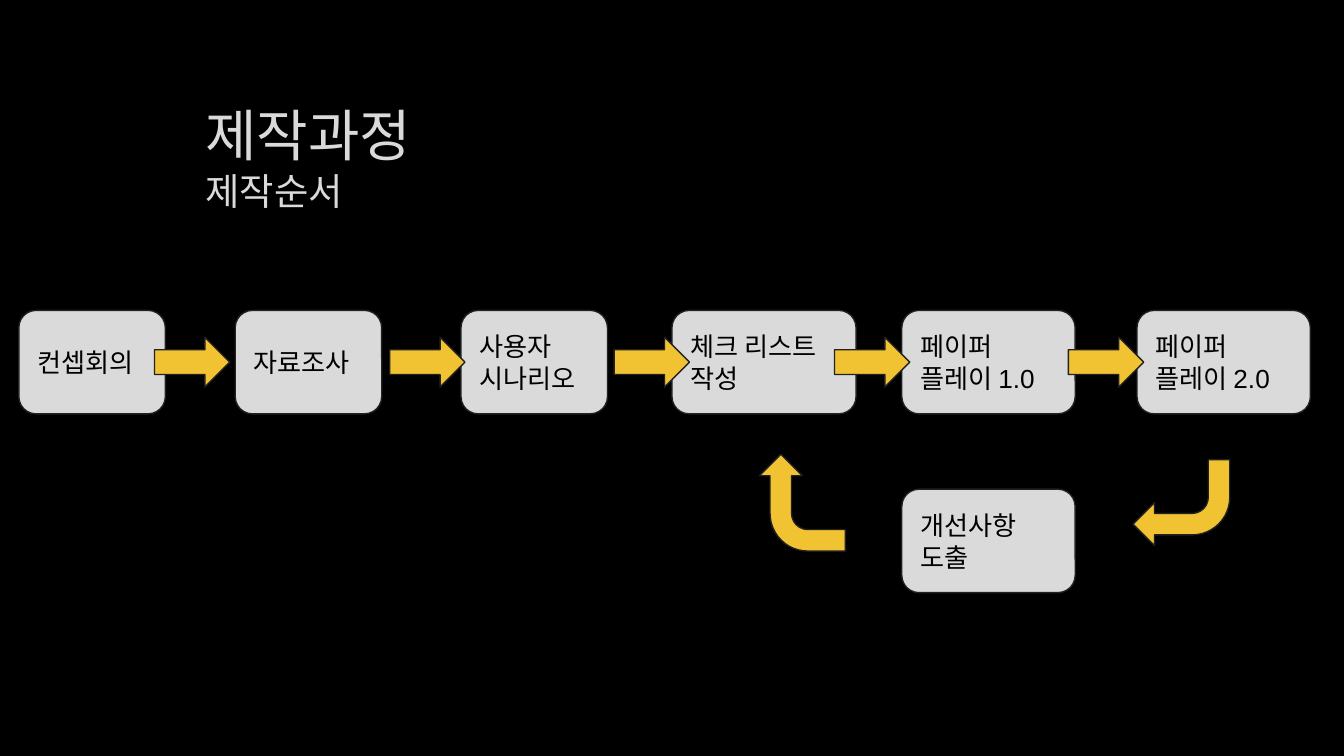
from typing import NamedTuple

from lxml.etree import SubElement
from pptx import Presentation
from pptx.dml.color import RGBColor as Rgb
from pptx.enum.shapes import MSO_SHAPE as Kind
from pptx.enum.text import MSO_ANCHOR as Anchor, PP_ALIGN as Align
from pptx.oxml.ns import qn
from pptx.util import Inches, Pt

HEX = {
    "back": "000000",
    "box": "DADADA",
    "text": "000000",
    "arrow": "F1C232",
    "line": "212123",
    "rim": "404040",
}


class Step(NamedTuple):
    text: str
    left: float
    width: float
    top: float = 2.31


class Bend(NamedTuple):
    left: float
    turn: int


STEPS = [
    Step("컨셉회의", 0.14, 1.09),
    Step("자료조사", 1.75, 1.09),
    Step("사용자\n시나리오", 3.43, 1.09),
    Step("체크 리스트\n작성", 5, 1.37),
    Step("페이퍼\n플레이 1.0", 6.71, 1.29),
    Step("페이퍼\n플레이 2.0", 8.46, 1.29),
    Step("개선사항\n도출", 6.71, 1.29, 3.64),
]
ARROWS = [1.15, 2.9, 4.57, 6.21, 7.95]
BENDS = [Bend(8.43, 180), Bend(5.61, 270)]


def color(name: str) -> Rgb:
    return Rgb.from_string(HEX[name])


def add_shape(slide, kind, left: float, top: float, width: float, height: float, fill: str):
    shape = slide.shapes.add_shape(
        kind, Inches(left), Inches(top), Inches(width), Inches(height)
    )
    shape.shadow.inherit = False
    shape.fill.solid()
    shape.fill.fore_color.rgb = color(fill)
    shape.line.color.rgb = color("line")
    shape.line.width = Pt(0.75)
    return shape


def set_frame(frame, text: str) -> None:
    frame.word_wrap = True
    frame.margin_left = frame.margin_right = Inches(0.1)
    frame.margin_top = frame.margin_bottom = Inches(0.1)
    frame.text = text


def set_font(run, face: str, size: int, tone: str) -> None:
    run.font.name = face
    run.font.size = Pt(size)
    run.font.color.rgb = color(tone)


def add_rim(run) -> None:
    props = run.font._element
    line = SubElement(props, qn("a:ln"), w=str(Pt(0.75)))
    fill = SubElement(line, qn("a:solidFill"))
    tone = SubElement(fill, qn("a:srgbClr"), val=HEX["rim"])
    SubElement(tone, qn("a:alpha"), val="10000")
    props.insert(0, line)


def add_title(slide) -> None:
    box = slide.shapes.add_textbox(Inches(1.43), Inches(0.65), Inches(7.69), Inches(1.09))
    set_frame(box.text_frame, "제작과정\n제작순서")
    for para, size in zip(box.text_frame.paragraphs, (30, 20)):
        for run in para.runs:
            set_font(run, "Roboto", size, "box")
            add_rim(run)


def add_step(slide, step: Step) -> None:
    box = add_shape(
        slide, Kind.ROUNDED_RECTANGLE, step.left, step.top, step.width, 0.77, "box"
    )
    frame = box.text_frame
    set_frame(frame, step.text)
    frame.vertical_anchor = Anchor.MIDDLE
    for para in frame.paragraphs:
        para.alignment = Align.LEFT
        for run in para.runs:
            set_font(run, "Arial", 14, "text")


def add_bend(slide, bend: Bend) -> None:
    arrow = add_shape(slide, Kind.BENT_ARROW, bend.left, 3.42, 0.72, 0.64, "arrow")
    arrow.rotation = bend.turn


def main() -> None:
    deck = Presentation()
    deck.slide_width, deck.slide_height = Inches(10), Inches(10 * 9 / 16)
    slide = deck.slides.add_slide(deck.slide_layouts[6])
    slide.background.fill.solid()
    slide.background.fill.fore_color.rgb = color("back")
    add_title(slide)
    for step in STEPS:
        add_step(slide, step)
    for left in ARROWS:
        add_shape(slide, Kind.RIGHT_ARROW, left, 2.51, 0.56, 0.37, "arrow")
    for bend in BENDS:
        add_bend(slide, bend)
    deck.save("out.pptx")


if __name__ == "__main__":
    main()
